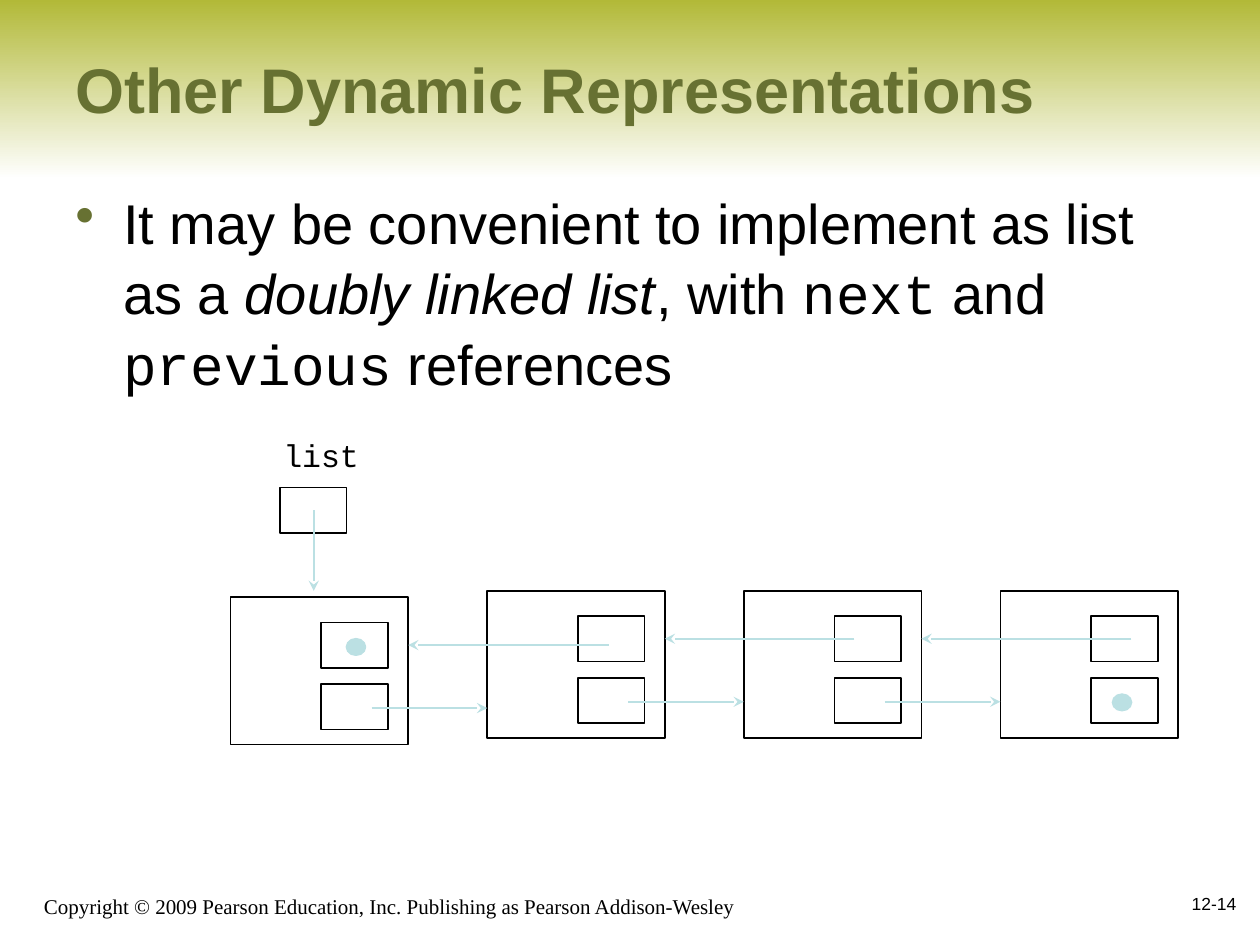
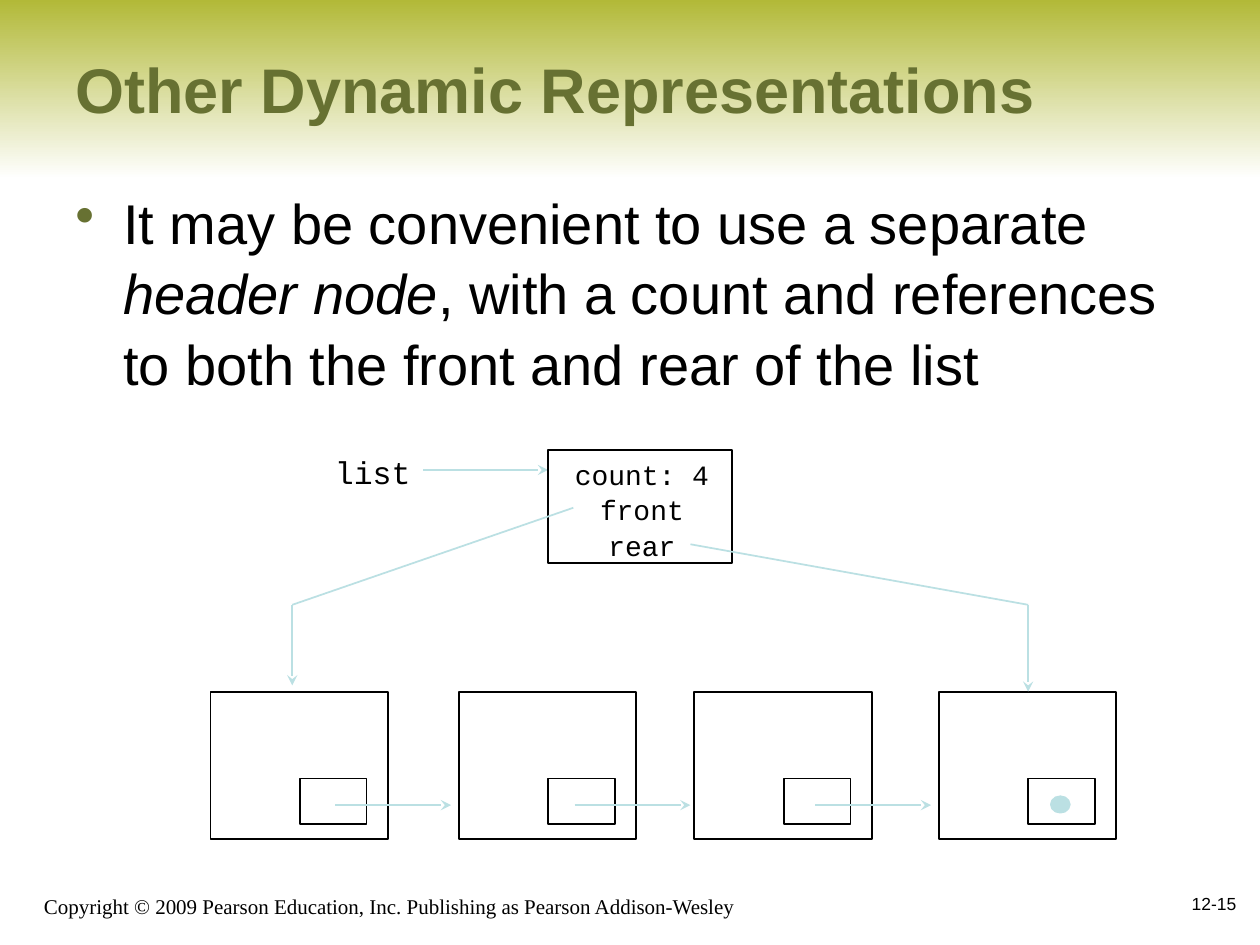
from pptx import Presentation
from pptx.dml.color import RGBColor
from pptx.enum.shapes import MSO_CONNECTOR, MSO_SHAPE
from pptx.enum.text import MSO_ANCHOR, MSO_AUTO_SIZE, PP_ALIGN
from pptx.oxml.ns import qn
from pptx.util import Inches, Pt
from lxml.etree import SubElement

OLIVE = RGBColor(0x67, 0x71, 0x32)
LIME = RGBColor(0xB2, 0xB9, 0x38)
WHITE = RGBColor(0xFF, 0xFF, 0xFF)
BLACK = RGBColor(0x00, 0x00, 0x00)
PALE_TEAL = RGBColor(0xBB, 0xE0, 0xE3)
SANS, MONO, SERIF = "Arial", "Courier New", "Times New Roman"

TITLE = "Other Dynamic Representations"
COPYRIGHT = ("Copyright © 2009 Pearson Education, Inc. "
             "Publishing as Pearson Addison-Wesley")
NODE_WIDTH, NODE_HEIGHT = 1.41, 1.17
CELL_WIDTH, CELL_HEIGHT = 0.53, 0.36
LINE_SPACING = 1.05


class Deck:
    """Holds the shared style and the slide being drawn."""

    def __init__(self):
        self.presentation = Presentation()
        self.presentation.slide_width = Inches(10)
        self.presentation.slide_height = Inches(7.5)
        self.slide = None

    def new_slide(self, number):
        layout = self.presentation.slide_layouts[5]
        self.slide = self.presentation.slides.add_slide(layout)
        self.band()
        self.title()
        self.text(0.25, 6.92, 6.08, 0.42, [[(COPYRIGHT, {"font": SERIF})]],
                  size=12, anchor=MSO_ANCHOR.BOTTOM)
        self.text(7.83, 6.92, 2.08, 0.5, [[(number, {})]], size=10,
                  anchor=MSO_ANCHOR.MIDDLE, align=PP_ALIGN.RIGHT)

    def band(self):
        band = self.shape(MSO_SHAPE.RECTANGLE, 0, 0, 10, 1.42)
        band.line.fill.background()
        band.fill.gradient()
        band.fill.gradient_angle = 270
        for stop, color in zip(band.fill.gradient_stops, (LIME, WHITE)):
            stop.color.rgb = color
        # Keep the band behind the title
        self.slide.shapes.title._element.addprevious(band._element)

    def title(self):
        title = self.slide.shapes.title
        title.left, title.top = Inches(0.5), Inches(0.08)
        title.width, title.height = Inches(9.08), Inches(1.25)
        frame = title.text_frame
        frame.word_wrap = True
        frame.auto_size = MSO_AUTO_SIZE.NONE
        frame.vertical_anchor = MSO_ANCHOR.MIDDLE
        paragraph = frame.paragraphs[0]
        paragraph.alignment = PP_ALIGN.LEFT
        self.run(paragraph, TITLE, 36, color=OLIVE, bold=True)

    def run(self, paragraph, text, size, font=SANS, color=BLACK,
            bold=False, italic=False):
        run = paragraph.add_run()
        run.text = text
        run.font.name, run.font.size = font, Pt(size)
        run.font.bold, run.font.italic = bold, italic
        run.font.color.rgb = color

    def text(self, left, top, width, height, lines, size,
             anchor=MSO_ANCHOR.TOP, align=PP_ALIGN.LEFT, wrap=True, spacing=None):
        box = self.slide.shapes.add_textbox(
            Inches(left), Inches(top), Inches(width), Inches(height))
        frame = box.text_frame
        frame.word_wrap = wrap
        frame.auto_size = (MSO_AUTO_SIZE.NONE if wrap
                           else MSO_AUTO_SIZE.SHAPE_TO_FIT_TEXT)
        frame.vertical_anchor = anchor
        for index, runs in enumerate(lines):
            paragraph = frame.add_paragraph() if index else frame.paragraphs[0]
            paragraph.alignment = align
            paragraph.line_spacing = spacing
            for content, style in runs:
                self.run(paragraph, content, size, **style)
        return frame

    def bullet(self, runs):
        frame = self.text(0.5, 1.42, 9.08, 4.5, [runs], size=32,
                          spacing=LINE_SPACING)
        properties = frame.paragraphs[0]._p.get_or_add_pPr()
        properties.set("marL", str(Inches(0.38)))
        properties.set("indent", str(-Inches(0.38)))
        color = SubElement(properties, qn("a:buClr"))
        SubElement(color, qn("a:srgbClr")).set("val", str(OLIVE))
        SubElement(properties, qn("a:buChar")).set("char", "•")

    def code(self, left, top, width, height, words, size, align=PP_ALIGN.LEFT):
        self.text(left, top, width, height,
                  [[(word, {"font": MONO})] for word in words], size,
                  align=align, wrap=False, spacing=LINE_SPACING)

    def shape(self, kind, left, top, width, height):
        shape = self.slide.shapes.add_shape(
            kind, Inches(left), Inches(top), Inches(width), Inches(height))
        shape.shadow.inherit = False
        return shape

    def box(self, left, top, width, height):
        box = self.shape(MSO_SHAPE.RECTANGLE, left, top, width, height)
        box.fill.background()
        box.line.color.rgb = BLACK
        box.line.width = Pt(1)

    def cell(self, left, top):
        self.box(left, top, CELL_WIDTH, CELL_HEIGHT)

    def node(self, left, top, cell_left, cell_tops):
        self.box(left, top, NODE_WIDTH, NODE_HEIGHT)
        for cell_top in cell_tops:
            self.cell(left + cell_left, top + cell_top)

    def null_dot(self, left, top):
        dot = self.shape(MSO_SHAPE.OVAL, left, top, 0.15, 0.13)
        dot.fill.solid()
        dot.fill.fore_color.rgb = PALE_TEAL
        dot.line.color.rgb = PALE_TEAL
        dot.line.width = Pt(1)

    def line(self, x1, y1, x2, y2, arrow=True):
        line = self.slide.shapes.add_connector(
            MSO_CONNECTOR.STRAIGHT, Inches(x1), Inches(y1), Inches(x2), Inches(y2))
        line.line.color.rgb = PALE_TEAL
        line.line.width = Pt(1)
        if arrow:
            SubElement(line.line._get_or_add_ln(), qn("a:tailEnd")).set("type", "stealth")
        SubElement(line._element.spPr, qn("a:effectLst"))


def doubly_linked_list(deck):
    deck.new_slide("12-14")
    deck.bullet([
        ("It may be convenient to implement as list as a ", {}),
        ("doubly linked list", {"italic": True}),
        (", with ", {}),
        ("next", {"font": MONO}),
        (" and ", {}),
        ("previous", {"font": MONO}),
        (" references", {}),
    ])

    # List variable
    deck.code(2.15, 3.4, 0.8, 0.4, ["list"], 18)
    deck.cell(2.22, 3.87)
    deck.line(2.49, 4.05, 2.49, 4.69)

    # Nodes, each with a previous cell above a next cell
    pitch = (7.94 - 1.83) / 3
    nodes = [(1.83 + pitch * i, 4.69 if i else 4.74) for i in range(4)]
    for left, top in nodes:
        deck.node(left, top, 0.72, (0.2, 0.69))

    # References between neighbours
    previous_starts = (4.83, 6.78, 8.98)
    for (left, top), (next_left, _), start in zip(nodes, nodes[1:], previous_starts):
        deck.line(left + 1.12, top + 0.88, next_left, top + 0.88)
        deck.line(start, top + 0.38, left + NODE_WIDTH, top + 0.38)
    deck.null_dot(2.75, 5.07)
    deck.null_dot(8.83, 5.51)


def header_node_list(deck):
    deck.new_slide("12-15")
    deck.bullet([
        ("It may be convenient to use a separate ", {}),
        ("header node", {"italic": True}),
        (", with a count and references to both the front and rear of the list", {}),
    ])

    # Nodes and next references
    for left in (1.67, 3.64, 5.51, 7.45):
        deck.node(left, 5.49, 0.71, (0.69,))
    for start in (2.66, 4.56, 6.47):
        deck.line(start, 6.39, start + 0.92, 6.39)
    deck.null_dot(8.34, 6.32)

    # Header node
    deck.code(2.56, 3.53, 0.8, 0.4, ["list"], 18)
    deck.line(3.36, 3.73, 4.35, 3.73)
    deck.box(4.35, 3.57, 1.46, 0.9)
    deck.code(4.46, 3.57, 1.27, 0.9, ["count: 4", "front", "rear"], 16,
              align=PP_ALIGN.CENTER)

    # Front and rear references
    for x, y, bend_x, end_y in ((4.55, 4.03, 2.32, 5.44), (5.48, 4.32, 8.16, 5.49)):
        deck.line(x, y, bend_x, 4.8, arrow=False)
        deck.line(bend_x, 4.8, bend_x, end_y)


def main():
    deck = Deck()
    doubly_linked_list(deck)
    header_node_list(deck)
    deck.presentation.save("out.pptx")


if __name__ == "__main__":
    main()
